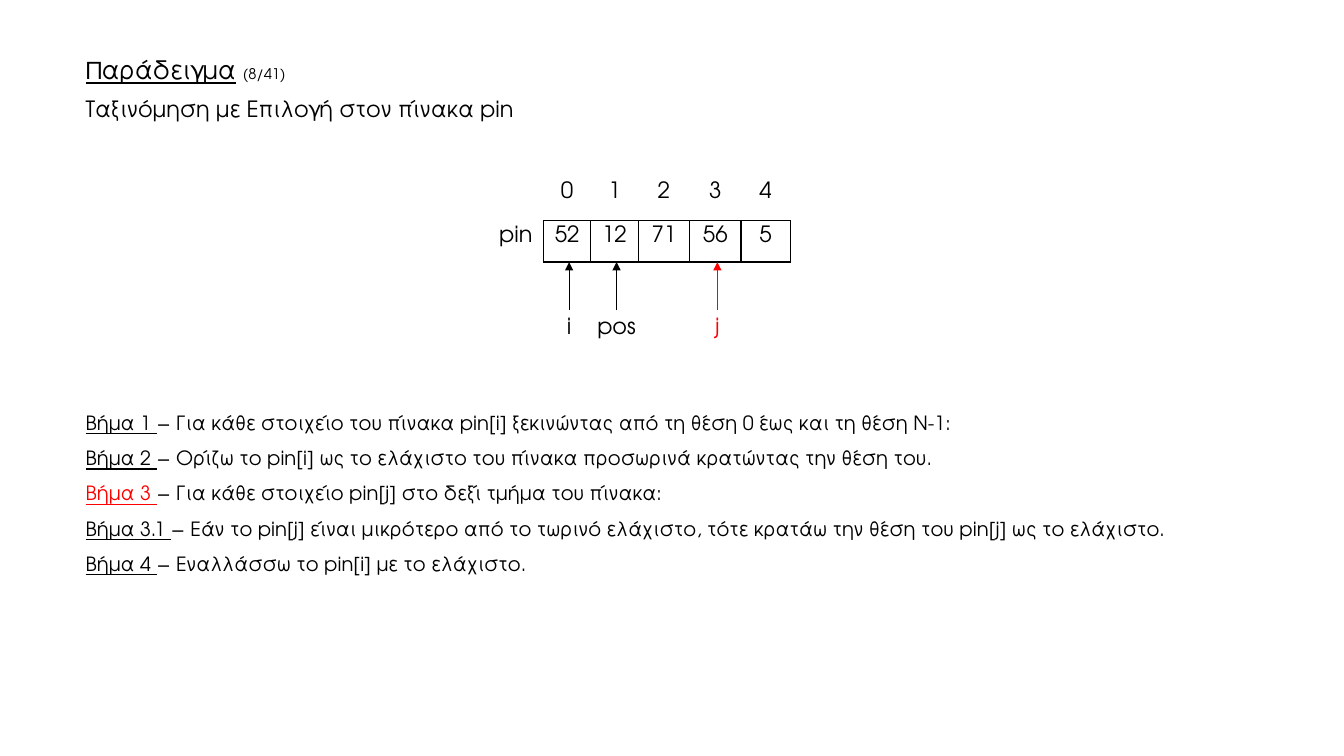
from lxml.etree import SubElement
from pptx import Presentation
from pptx.dml.color import RGBColor
from pptx.enum.shapes import MSO_CONNECTOR
from pptx.enum.text import PP_ALIGN
from pptx.oxml import parse_xml
from pptx.oxml.ns import nsdecls, qn
from pptx.util import Inches, Pt

FONT = "TeX Gyre Adventor"
COLORS = {"ink": "000000", "current": "FF0000", "page": "FFFFFF"}

COLUMN_WIDTHS = [0.55, 0.47, 0.47, 0.51, 0.51, 0.49]
ROW_HEIGHTS = [0.43, 0.41]
PIN_ROWS = [["", "0", "1", "2", "3", "4"], ["pin", "52", "12", "71", "56", "5"]]
POINTERS = [("i", 0, 0.24, "ink"), ("pos", 1, 0.98, "ink"), ("j", 3, 0.24, "current")]
STEPS = [
    ("Βήμα 1 ", "ink", "− Για κάθε στοιχείο του πίνακα pin[i] ξεκινώντας από τη θέση 0 έως και τη θέση Ν-1:"),
    ("Βήμα 2 ", "ink", "− Ορίζω το pin[i] ως το ελάχιστο του πίνακα προσωρινά κρατώντας την θέση του."),
    ("Βήμα 3 ", "current", "− Για κάθε στοιχείο pin[j] στο δεξί τμήμα του πίνακα:"),
    ("Βήμα 3.1 ", "ink", "− Εάν το pin[j] είναι μικρότερο από το τωρινό ελάχιστο, "
                         "τότε κρατάω την θέση του pin[j] ως το ελάχιστο."),
    ("Βήμα 4 ", "ink", "− Εναλλάσσω το pin[i] με το ελάχιστο."),
]


def color(name):
    return RGBColor.from_string(COLORS[name])


def add_span(para, text, size, ink="ink", underline=False):
    span = para.add_run()
    span.text = text
    for key, value in {"name": FONT, "size": Pt(size), "underline": underline}.items():
        setattr(span.font, key, value)
    span.font.color.rgb = color(ink)


def add_text(page, left, top, width, height, lines, **formats):
    """Place a text box; each line is a list of add_span argument tuples."""
    box = page.shapes.add_textbox(Inches(left), Inches(top), Inches(width), Inches(height))
    frame = box.text_frame
    frame.word_wrap = True
    gap = formats.pop("gap", 0)
    for index, spans in enumerate(lines):
        para = frame.add_paragraph() if index else frame.paragraphs[0]
        para.space_before = Pt(gap if index else 0)
        for key, value in formats.items():
            setattr(para, key, value)
        for span in spans:
            add_span(para, *span)
    return box


def add_heading(page, left, top, width, height):
    lines = [
        [("Παράδειγμα", 18, "ink", True), (" ", 18), ("(8/41)", 10.5)],
        [("Ταξινόμηση με Επιλογή στον πίνακα pin", 16)],
    ]
    add_text(page, left, top, width, height, lines, line_spacing=0.9, gap=10)


def set_borders(cell, sides):
    """Draw the named sides (L, R, T, B) and hide the others."""
    properties = cell._tc.get_or_add_tcPr()
    for index, side in enumerate("LRTB"):
        fill = f'<a:solidFill><a:srgbClr val="{COLORS["ink"]}"/></a:solidFill>'
        if side not in sides:
            fill = "<a:noFill/>"
        border = parse_xml(f'<a:ln{side} {nsdecls("a")} w="{Pt(1)}">{fill}</a:ln{side}>')
        properties.insert(index, border)


def border_sides(row, column):
    if row == 0:
        return "B" if column else ""
    return "LRTB" if column else "R"


def add_pin_table(page, left, top):
    frame = page.shapes.add_table(
        len(ROW_HEIGHTS), len(COLUMN_WIDTHS), Inches(left), Inches(top),
        Inches(sum(COLUMN_WIDTHS)), Inches(sum(ROW_HEIGHTS)))
    table = frame.table
    table.first_row = table.horz_banding = False
    for column, width in zip(table.columns, COLUMN_WIDTHS):
        column.width = Inches(width)
    for row, height in zip(table.rows, ROW_HEIGHTS):
        row.height = Inches(height)
    for row, values in enumerate(PIN_ROWS):
        for column, value in enumerate(values):
            cell = table.cell(row, column)
            cell.fill.background()
            set_borders(cell, border_sides(row, column))
            if value:
                para = cell.text_frame.paragraphs[0]
                para.alignment = PP_ALIGN.CENTER
                add_span(para, value, 16)


def add_pointer(page, center, tip, name, width, ink):
    """Place a variable name with an arrow from it up to the array."""
    length = 0.48
    label = add_text(page, center - width / 2, tip + length, width, 0.36, [[(name, 16, ink)]],
                     line_spacing=0.9, alignment=PP_ALIGN.CENTER)
    label.text_frame.margin_left = label.text_frame.margin_right = 0
    arrow = page.shapes.add_connector(
        MSO_CONNECTOR.STRAIGHT, Inches(center), Inches(tip + length), Inches(center), Inches(tip))
    arrow.begin_connect(label, 0)
    arrow.line.width = Pt(0.5)
    arrow.line.color.rgb = color(ink)
    SubElement(arrow.line._get_or_add_ln(), qn("a:tailEnd"), type="triangle")
    SubElement(arrow._element.spPr, qn("a:effectLst"))


def add_array(page, left, top):
    add_pin_table(page, left, top)
    tip = top + sum(ROW_HEIGHTS)
    for name, index, width, ink in POINTERS:
        center = left + sum(COLUMN_WIDTHS[:index + 1]) + COLUMN_WIDTHS[index + 1] / 2 + 0.02
        add_pointer(page, center, tip, name, width, ink)


def add_steps(page, left, top, width, height):
    lines = [[(step, 14, ink, True), (text, 14)] for step, ink, text in STEPS]
    add_text(page, left, top, width, height, lines, line_spacing=1.5)


def main():
    deck = Presentation()
    deck.slide_width, deck.slide_height = Inches(13.33), Inches(7.5)
    page = deck.slides.add_slide(deck.slide_layouts[6])
    page.background.fill.solid()
    page.background.fill.fore_color.rgb = color("page")
    add_heading(page, 0.75, 0.52, 10.79, 0.77)
    add_array(page, 4.84, 1.76)
    add_steps(page, 0.75, 3.91, 11.53, 1.82)
    deck.save("out.pptx")


if __name__ == "__main__":
    main()
